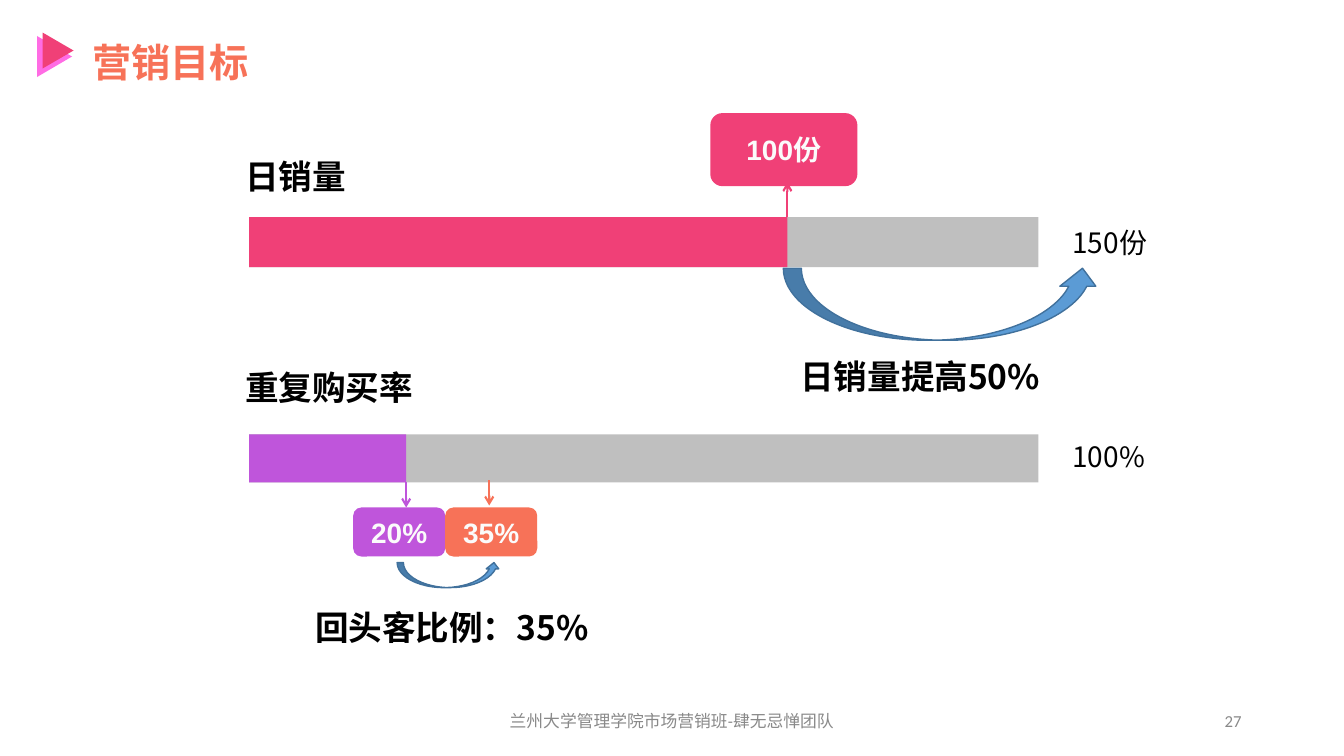
from pptx import Presentation
from pptx import util as u
from pptx.dml.color import RGBColor
from pptx.enum import shapes, text
from pptx.oxml import ns
from lxml import etree

PX = 914400 / 100.7
PINK = RGBColor(0xF0, 0x40, 0x77)
MAGENTA = RGBColor(0xFF, 0x6C, 0xE4)
PURPLE = RGBColor(0xBF, 0x55, 0xDB)
CORAL = RGBColor(0xF7, 0x72, 0x58)
TRACK = RGBColor(0xBF, 0xBF, 0xBF)
BLUE = RGBColor(0x5B, 0x9B, 0xD5)
BLUE_EDGE = RGBColor(0x41, 0x71, 0x9C)
GREY = RGBColor(0x89, 0x89, 0x89)
BLACK = RGBColor(0, 0, 0)
NEAR_WHITE = RGBColor(0xFB, 0xFB, 0xFB)
CJK = "Noto Sans CJK SC"
ALIGN = text.PP_ALIGN
ANCHOR = text.MSO_ANCHOR
SHAPE = shapes.MSO_SHAPE


def px(*lengths):
    return [u.Emu(round(n * PX)) for n in lengths]


def write(sp, words, size, colour, font=CJK, bold=False,
          align=ALIGN.LEFT, anchor=ANCHOR.TOP):
    tf = sp.text_frame
    tf.text = words
    tf.word_wrap = True
    tf.auto_size = text.MSO_AUTO_SIZE.NONE
    tf.vertical_anchor = anchor
    p = tf.paragraphs[0]
    p.alignment = align
    r = p.runs[0]
    r.font.size = u.Pt(size)
    r.font.bold = bold
    r.font.name = font
    r.font.color.rgb = colour
    ea = etree.SubElement(r.font._element, ns.qn("a:ea"))
    ea.set("typeface", CJK)


def add_text(s, box, words, size, colour=BLACK, **style):
    write(s.shapes.add_textbox(*px(*box)), words, size, colour, **style)


def add_shape(s, kind, box, fill, edge=None):
    sp = s.shapes.add_shape(kind, *px(*box))
    sp.shadow.inherit = False
    sp.fill.solid()
    sp.fill.fore_color.rgb = fill
    if edge is None:
        sp.line.fill.background()
    else:
        sp.line.color.rgb = edge
        sp.line.width = u.Pt(1)
    return sp


def add_arrow(s, x, y1, y2, colour):
    line = s.shapes.add_connector(shapes.MSO_CONNECTOR.STRAIGHT, *px(x, y1, x, y2))
    line.line.color.rgb = colour
    line.line.width = u.Pt(1.5)
    tail = etree.SubElement(line.line._get_or_add_ln(), ns.qn("a:tailEnd"))
    tail.set("type", "arrow")
    etree.SubElement(line._element.spPr, ns.qn("a:effectLst"))


def heading(s, x, y, w, h):
    """Place the title in the box and the double triangle to its left."""
    sp = s.shapes.title
    sp.left, sp.top, sp.width, sp.height = px(x, y, w, h)
    write(sp, "营销目标", 28, CORAL, bold=True)
    for box, colour in (((x - 48, y + 6, 41, 35), MAGENTA),
                        ((x - 42, y + 2, 36, 31), PINK)):
        add_shape(s, SHAPE.ISOSCELES_TRIANGLE, box, colour).rotation = 90


def progress_bar(s, x, y, w, h, done, colour, label, label_gap, total, total_gap):
    """Draw a bar filled to done px, its label above and its total at the right."""
    add_text(s, (x - 14, y - label_gap, 220, 50), label, 24, bold=True)
    for length, fill in ((w, TRACK), (done, colour)):
        add_shape(s, SHAPE.RECTANGLE, (x, y, length, h), fill)
    add_text(s, (x + w + 24, y + total_gap, 250, 44), total, 20)


def callout(s, x, y, w, h, words, colour, arrow):
    """Draw a rounded value tag and its arrow (x, start y, end y)."""
    sp = add_shape(s, SHAPE.ROUNDED_RECTANGLE, (x, y, w, h), colour)
    write(sp, words, 20, NEAR_WHITE, font="Arial", bold=True,
          align=ALIGN.CENTER, anchor=ANCHOR.MIDDLE)
    add_arrow(s, *arrow, colour)


def growth(s, x, y, w, h, caption, caption_x, caption_y):
    """Draw a curved arrow in the box with a caption below it."""
    add_shape(s, SHAPE.CURVED_UP_ARROW, (x, y, w, h), BLUE, BLUE_EDGE)
    add_text(s, (caption_x, caption_y, 309, 50), caption, 24, bold=True)


def footer(s, y, h):
    for x, w, words, align in (
            (445, 453, "兰州大学管理学院市场营销班-肆无忌惮团队", ALIGN.CENTER),
            (949, 302, "27", ALIGN.RIGHT)):
        add_text(s, (x, y, w, h), words, 12, GREY, font="Calibri",
                 align=align, anchor=ANCHOR.MIDDLE)


def main():
    prs = Presentation()
    prs.slide_width, prs.slide_height = u.Inches(13.34), u.Inches(7.5)
    s = prs.slides.add_slide(prs.slide_layouts[5])
    heading(s, 82, 33, 224, 57)

    progress_bar(s, 249, 217, 789, 50, 538, PINK, "日销量", 66, "150份", 3)
    callout(s, 710, 113, 147, 73, "100份", PINK, (787, 217, 182))
    growth(s, 783, 268, 317, 72, "日销量提高50%", 790, 351)

    progress_bar(s, 249, 434, 789, 48, 157, PURPLE, "重复购买率", 72, "100%", 0)
    callout(s, 353, 507, 92, 49, "20%", PURPLE, (406, 482, 507))
    callout(s, 445, 507, 92, 49, "35%", CORAL, (489, 480, 505))
    growth(s, 397, 562, 103, 25, "回头客比例：35%", 305, 601)

    footer(s, 700, 40)
    prs.save("out.pptx")


if __name__ == "__main__":
    main()
